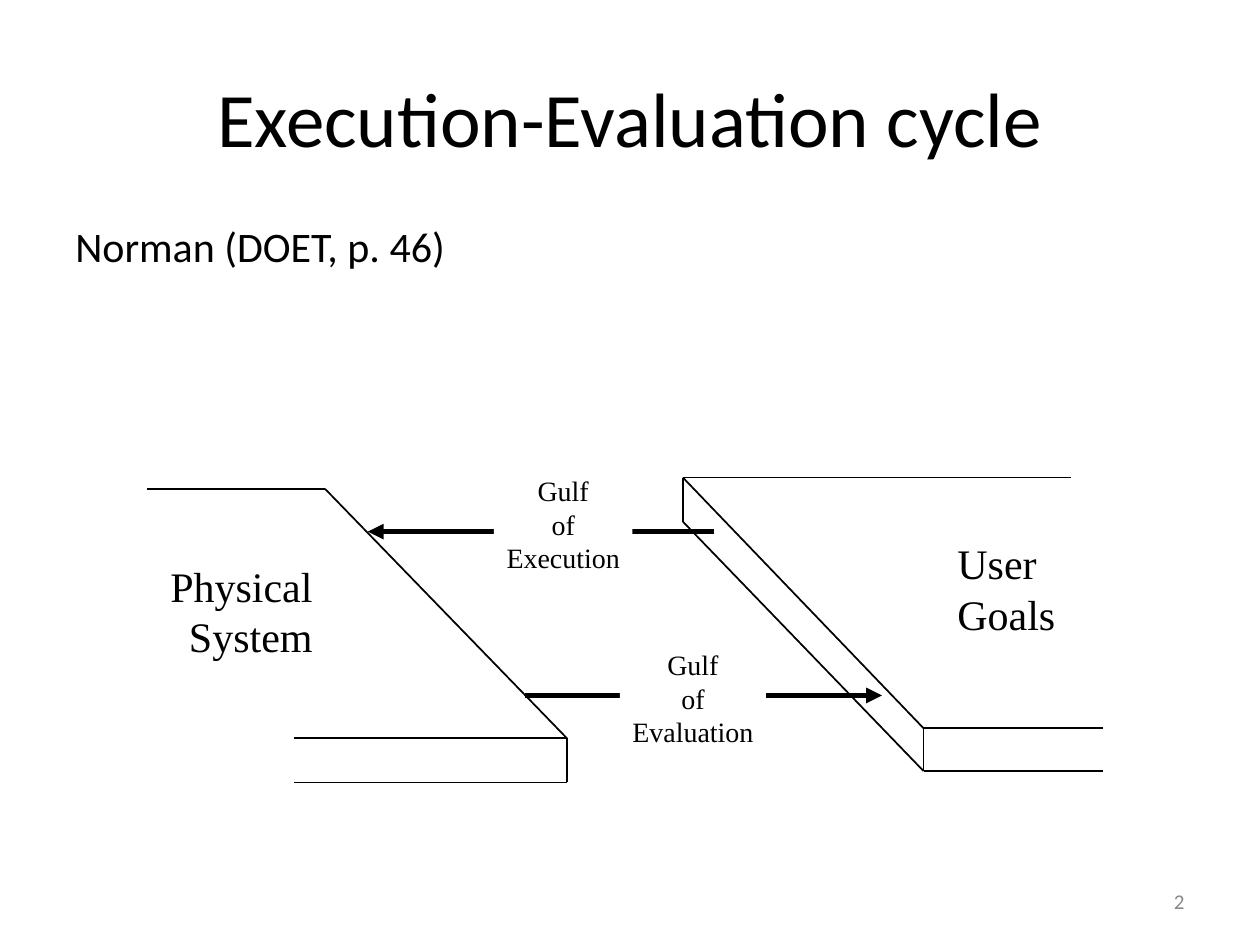
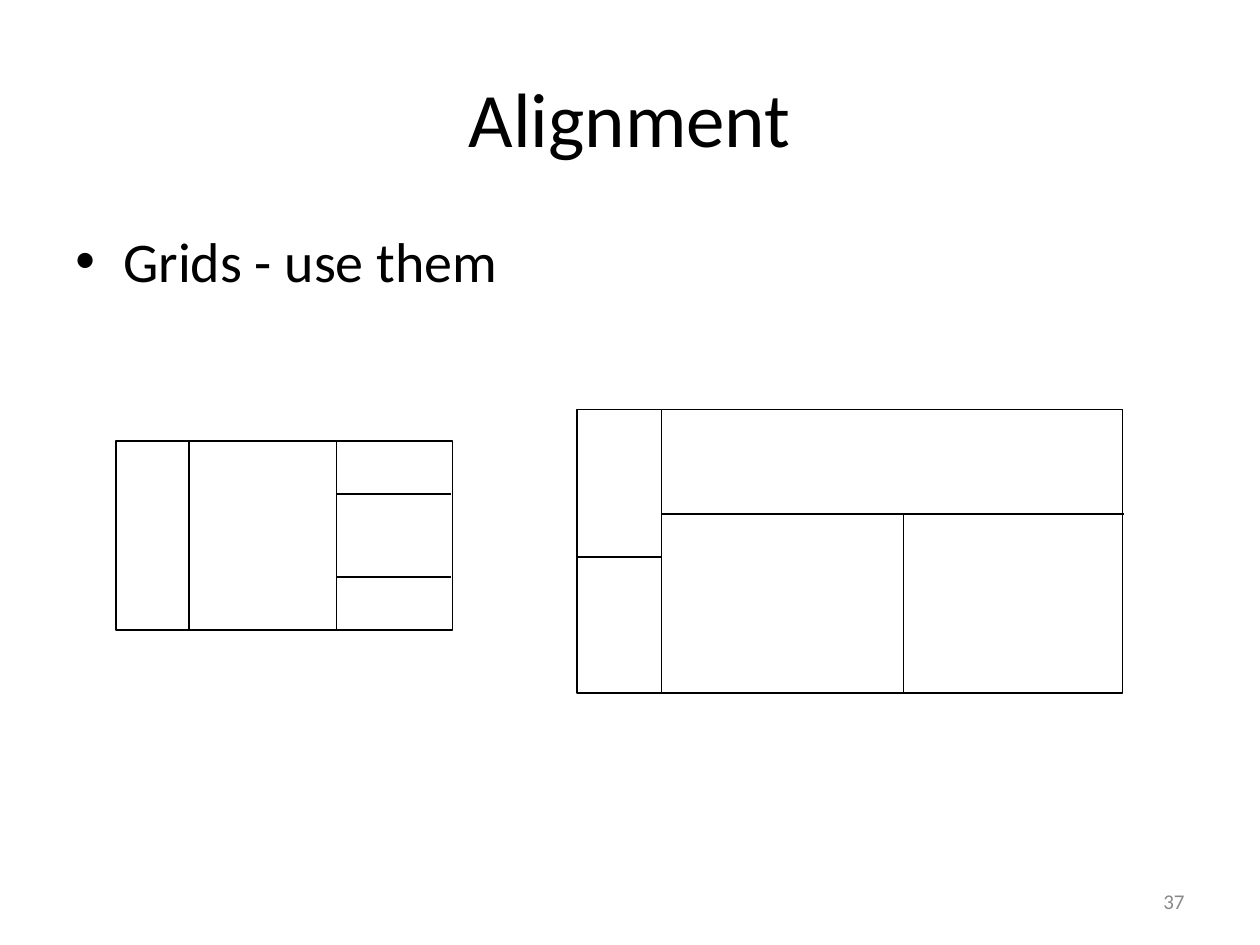
import pptx
import pptx.util
import pptx.dml.color
import pptx.enum.shapes
import pptx.enum.text
import pptx.oxml.ns
import lxml.etree

Inches, Pt = pptx.util.Inches, pptx.util.Pt
ALIGN, ANCHOR = pptx.enum.text.PP_ALIGN, pptx.enum.text.MSO_ANCHOR
BLACK = pptx.dml.color.RGBColor(0x00, 0x00, 0x00)
WHITE = pptx.dml.color.RGBColor(0xFF, 0xFF, 0xFF)
GREY = pptx.dml.color.RGBColor(0x89, 0x89, 0x89)
SANS, SERIF = "Calibri", "Times New Roman"

# Content of the execution-evaluation cycle
CYCLE = {"title": "Execution-Evaluation cycle", "number": "2",
         "body": "Norman (DOET, p. 46)", "bullet": None, "size": 24, "spacing": 0.9, "height": 0.66}
USER_SLAB = [
    [(8.5, 3.79), (5.42, 3.79), (7.33, 5.78), (8.75, 5.78)],
    [(5.42, 3.79), (5.42, 4.14), (7.33, 6.12), (8.75, 6.12)],
    [(7.33, 5.78), (7.33, 6.12)],
]
SYSTEM_SLAB = [
    [(1.17, 3.88), (2.58, 3.88), (4.5, 5.86), (4.5, 6.21), (2.33, 6.21)],
    [(2.33, 5.86), (4.5, 5.86)],
]
SLAB_NAMES = [
    (["User", "Goals"], (7.5, 4.22, 0.98, 0.9), ALIGN.LEFT),
    (["Physical", "System"], (1.25, 4.4, 1.33, 0.9), ALIGN.RIGHT),
]
GULFS = [  # name, label place, arrow start, arrow end
    ("Execution", (3.92, 3.71, 1.1, 0.9), (5.67, 4.22), (2.92, 4.22)),
    ("Evaluation", (4.92, 5.09, 1.16, 0.9), (4.17, 5.52), (7, 5.52)),
]

# Content of the alignment slide: each frame with its dividing lines
ALIGNMENT = {"title": "Alignment", "number": "37",
             "body": "Grids - use them", "bullet": "•", "size": 32, "spacing": 1.0, "height": 4.95}
GRIDS = [
    ((0.92, 3.5, 2.67, 1.5), [
        [(1.5, 3.5), (1.5, 5)], [(2.67, 3.5), (2.67, 5)],
        [(2.67, 3.92), (3.58, 3.92)], [(2.67, 4.58), (3.58, 4.58)]]),
    ((4.58, 3.25, 4.33, 2.25), [
        [(5.25, 3.25), (5.25, 5.5)], [(5.25, 4.08), (8.92, 4.08)],
        [(7.17, 4.08), (7.17, 5.5)], [(4.58, 4.42), (5.25, 4.42)]]),
]


def set_all(target, values):
    for name, value in values.items():
        setattr(target, name, value)


def write(box, lines, size, font=SANS, color=BLACK, align=ALIGN.LEFT,
          anchor=ANCHOR.TOP, wrap=True, spacing=None):
    frame = box.text_frame
    set_all(frame, {"word_wrap": wrap, "vertical_anchor": anchor})
    for index, line in enumerate(lines):
        para = frame.add_paragraph() if index else frame.paragraphs[0]
        set_all(para, {"alignment": align, "line_spacing": spacing})
        span = para.add_run()
        span.text = line
        set_all(span.font, {"size": Pt(size), "name": font})
        span.font.color.rgb = color
    return box


def add_text(page, place, lines, size, **style):
    return write(page.shapes.add_textbox(*map(Inches, place)), lines, size, **style)


def add_rectangle(page, place, line_width=None):
    box = page.shapes.add_shape(pptx.enum.shapes.MSO_SHAPE.RECTANGLE, *map(Inches, place))
    box.shadow.inherit = False
    box.fill.solid()
    box.fill.fore_color.rgb = WHITE
    if line_width:
        box.line.color.rgb = BLACK
        box.line.width = Pt(line_width)
    else:
        box.line.fill.background()
    return box


def add_path(shapes, points, width, arrow=False):
    """Join successive points with straight lines."""
    qn = pptx.oxml.ns.qn
    for start, end in zip(points, points[1:]):
        line = shapes.add_connector(pptx.enum.shapes.MSO_CONNECTOR.STRAIGHT,
                                    *map(Inches, start + end))
        line.line.color.rgb = BLACK
        line.line.width = Pt(width)
        if arrow:
            lxml.etree.SubElement(line.line._get_or_add_ln(), qn("a:tailEnd"), type="triangle")
        lxml.etree.SubElement(line._element.spPr, qn("a:effectLst"))


def add_page(deck, content):
    """Title, body line and page number shared by the slides."""
    page = deck.slides.add_slide(deck.slide_layouts[6])
    add_text(page, (0.5, 0.3, 9, 1.25), [content["title"]], 44,
             align=ALIGN.CENTER, anchor=ANCHOR.MIDDLE)
    body = add_text(page, (0.5, 1.75, 9, content["height"]), [content["body"]],
                    content["size"], spacing=content["spacing"])
    properties = body.text_frame.paragraphs[0]._p.get_or_add_pPr()
    properties.set("marL", str(Inches(0.38)))
    properties.set("indent", str(-Inches(0.38)))
    if content["bullet"]:
        qn = pptx.oxml.ns.qn
        lxml.etree.SubElement(properties, qn("a:buFont"), typeface="Arial")
        lxml.etree.SubElement(properties, qn("a:buChar"), char=content["bullet"])
    add_text(page, (7.17, 6.95, 2.33, 0.4), [content["number"]], 12,
             color=GREY, align=ALIGN.RIGHT, anchor=ANCHOR.MIDDLE)
    return page


def build_cycle(deck):
    page = add_page(deck, CYCLE)
    # The two slabs on either side of the gulf
    for slab in (USER_SLAB, SYSTEM_SLAB):
        group = page.shapes.add_group_shape()
        for points in slab:
            add_path(group.shapes, points, 1)
    for lines, place, align in SLAB_NAMES:
        add_text(page, place, lines, 24, font=SERIF, align=align, wrap=False)
    # Arrows, each broken by its label
    for name, place, start, end in GULFS:
        add_path(page.shapes, [start, end], 3, arrow=True)
        write(add_rectangle(page, place), ["Gulf", "of", name], 16,
              font=SERIF, align=ALIGN.CENTER, wrap=False)


def build_alignment(deck):
    page = add_page(deck, ALIGNMENT)
    for frame, dividers in GRIDS:
        add_rectangle(page, frame, 0.75)
        for points in dividers:
            add_path(page.shapes, points, 0.75)


def main():
    deck = pptx.Presentation()
    set_all(deck, {"slide_width": Inches(10), "slide_height": Inches(7.5)})
    build_cycle(deck)
    build_alignment(deck)
    deck.save("out.pptx")


if __name__ == "__main__":
    main()
